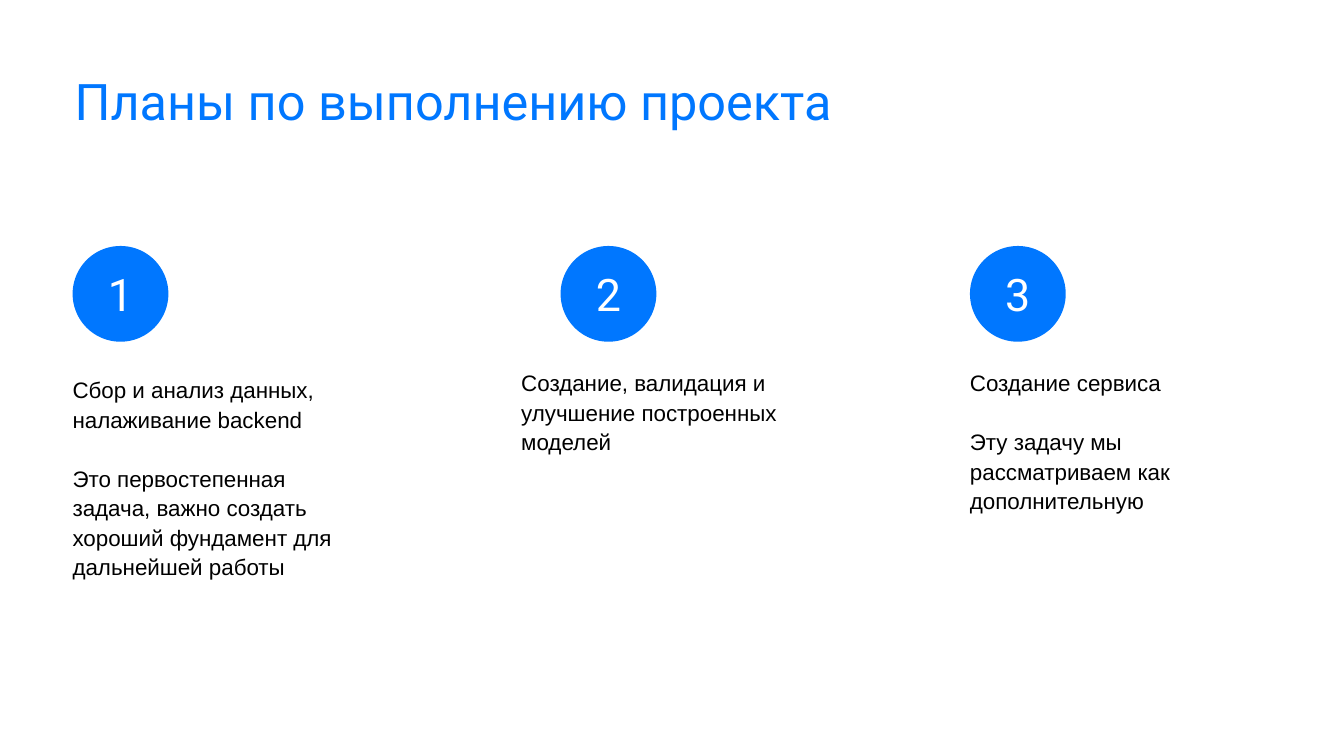
from dataclasses import dataclass

from pptx import Presentation
from pptx.dml.color import RGBColor
from pptx.enum.shapes import MSO_SHAPE
from pptx.enum.text import MSO_ANCHOR, PP_ALIGN
from pptx.shapes.autoshape import Shape
from pptx.slide import Slide
from pptx.util import Inches, Pt

OVAL = MSO_SHAPE.OVAL
TOP, MIDDLE = MSO_ANCHOR.TOP, MSO_ANCHOR.MIDDLE
LEFT, CENTER = PP_ALIGN.LEFT, PP_ALIGN.CENTER

BLUE, BLACK, WHITE = "0077FF", "000000", "FFFFFF"
HEADING_FONT, BODY_FONT = "Roboto", "Arial"
CIRCLE_TOP, CIRCLE_SIZE = 2.44, 0.95
TEXT_WIDTH, TEXT_HEIGHT = 2.74, 2.39


@dataclass(frozen=True)
class Step:
    circle_left: float
    text_left: float
    text_top: float
    paragraphs: tuple[str, ...]


STEPS = (
    Step(0.72, 0.72, 3.66, (
        "Сбор и анализ данных, налаживание backend",
        "Это первостепенная задача, важно создать хороший фундамент для дальнейшей работы",
    )),
    Step(5.56, 5.17, 3.59, ("Создание, валидация и улучшение построенных моделей",)),
    Step(9.62, 9.62, 3.59, (
        "Создание сервиса",
        "Эту задачу мы рассматриваем как дополнительную",
    )),
)


def color(value: str) -> RGBColor:
    return RGBColor.from_string(value)


def write_text(
    shape: Shape,
    *paragraphs: str,
    font: str,
    size: float,
    text_color: str,
    align: PP_ALIGN = LEFT,
    anchor: MSO_ANCHOR = TOP,
    line_spacing: float = 1.0,
    gap: float = 0,
    margins: tuple[float, float, float, float] = (0, 0, 0, 0),
) -> None:
    """Fill a shape with paragraphs; margins run left, top, right, bottom in inches."""
    frame = shape.text_frame
    frame.word_wrap = True
    frame.vertical_anchor = anchor
    frame.margin_left, frame.margin_top, frame.margin_right, frame.margin_bottom = map(
        Inches, margins
    )
    for index, text in enumerate(paragraphs):
        paragraph = frame.add_paragraph() if index else frame.paragraphs[0]
        paragraph.alignment = align
        paragraph.line_spacing = line_spacing
        if index:
            paragraph.space_before = Pt(gap)
        run = paragraph.add_run()
        run.text = text
        run.font.name = font
        run.font.size = Pt(size)
        run.font.color.rgb = color(text_color)


def add_text_box(slide: Slide, left: float, top: float, width: float, height: float) -> Shape:
    return slide.shapes.add_textbox(Inches(left), Inches(top), Inches(width), Inches(height))


def add_step(slide: Slide, number: int, step: Step) -> None:
    description = add_text_box(slide, step.text_left, step.text_top, TEXT_WIDTH, TEXT_HEIGHT)
    write_text(description, *step.paragraphs, font=BODY_FONT, size=16, text_color=BLACK,
               line_spacing=1.1, gap=21, margins=(0, 0.05, 0.1, 0.05))

    circle = slide.shapes.add_shape(OVAL, Inches(step.circle_left), Inches(CIRCLE_TOP),
                                    Inches(CIRCLE_SIZE), Inches(CIRCLE_SIZE))
    circle.shadow.inherit = False
    circle.fill.solid()
    circle.fill.fore_color.rgb = color(BLUE)
    circle.line.fill.background()
    write_text(circle, str(number), font=HEADING_FONT, size=32, text_color=WHITE,
               align=CENTER, anchor=MIDDLE, margins=(0.1, 0.05, 0.1, 0.05))


def main() -> None:
    presentation = Presentation()
    presentation.slide_width = Inches(13.33)
    presentation.slide_height = Inches(7.5)
    slide = presentation.slides.add_slide(presentation.slide_layouts[6])

    title = add_text_box(slide, 0.74, 0.76, 11.89, 1.18)
    write_text(title, "Планы по выполнению проекта", font=HEADING_FONT, size=36,
               text_color=BLUE, line_spacing=0.9)
    for number, step in enumerate(STEPS, start=1):
        add_step(slide, number, step)

    presentation.save("out.pptx")


if __name__ == "__main__":
    main()
